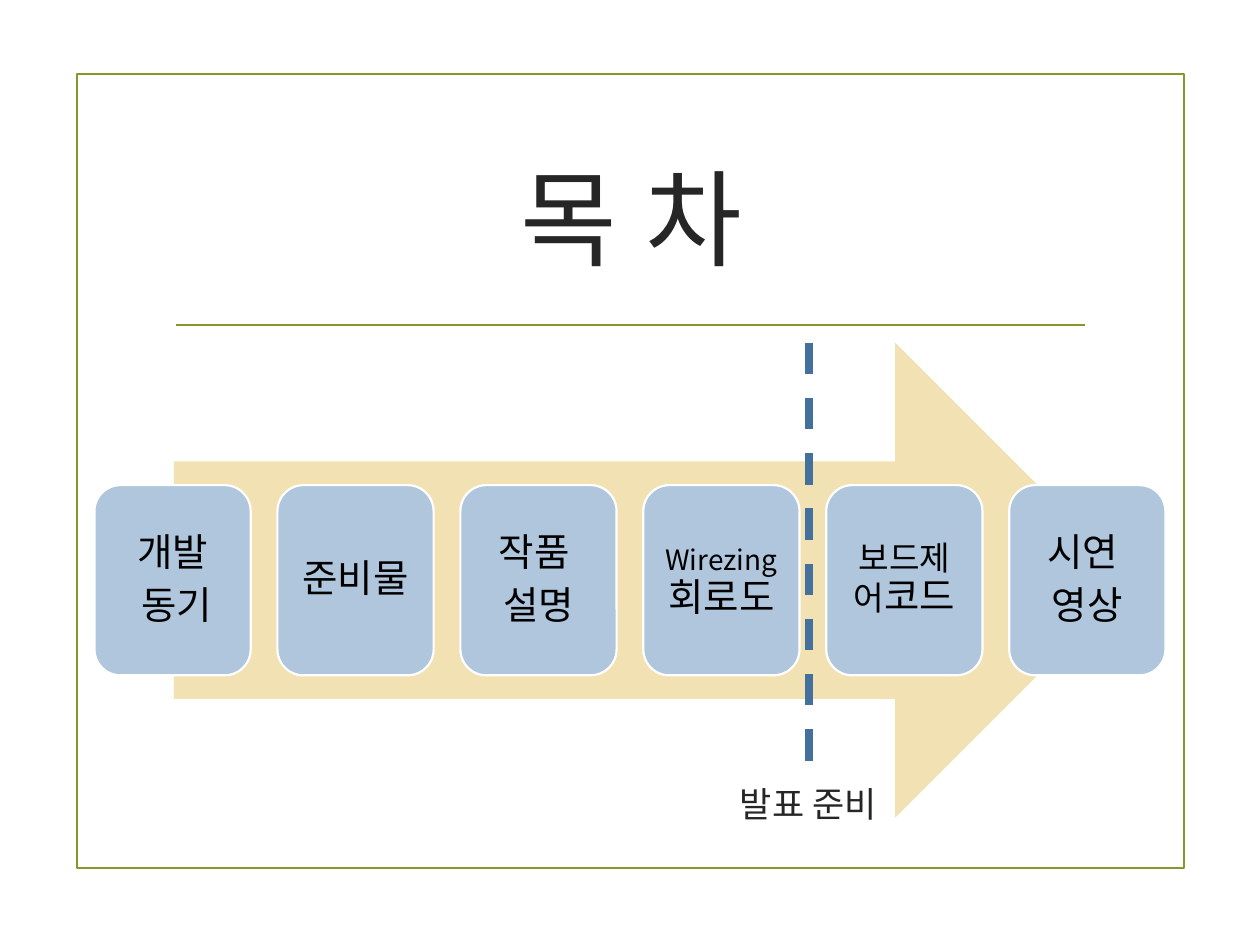
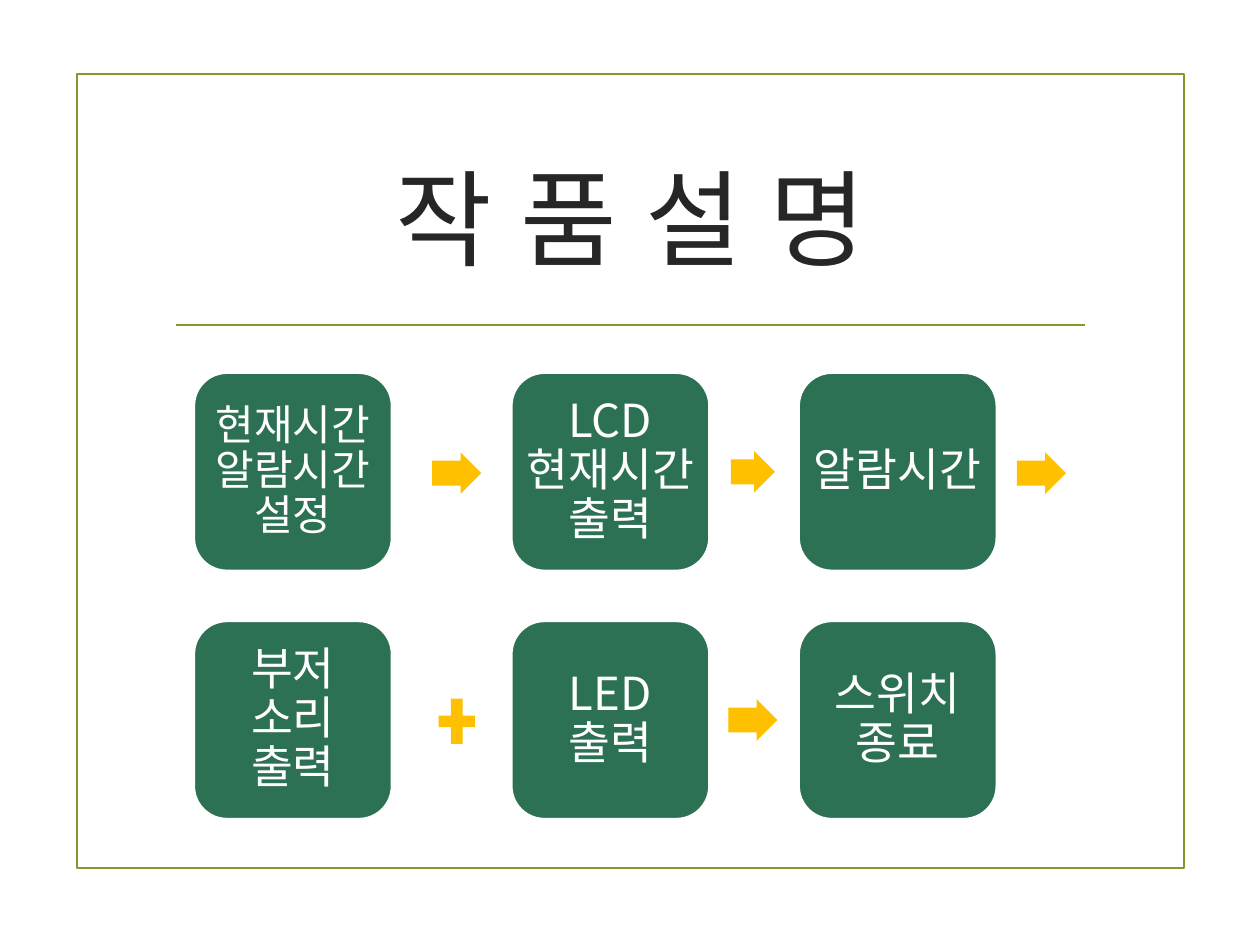
from lxml import etree
from pptx import Presentation
from pptx.dml.color import RGBColor
from pptx.enum.dml import MSO_LINE
from pptx.enum.shapes import MSO_CONNECTOR, MSO_SHAPE
from pptx.enum.text import MSO_ANCHOR, PP_ALIGN
from pptx.oxml.ns import qn
from pptx.util import Inches, Pt

RECTANGLE = MSO_SHAPE.RECTANGLE
ROUNDED = MSO_SHAPE.ROUNDED_RECTANGLE
ARROW = MSO_SHAPE.RIGHT_ARROW
PLUS = MSO_SHAPE.MATH_PLUS
STRAIGHT = MSO_CONNECTOR.STRAIGHT
DASH = MSO_LINE.DASH
MIDDLE, TOP = MSO_ANCHOR.MIDDLE, MSO_ANCHOR.TOP
CENTER = PP_ALIGN.CENTER

FONT = "Noto Sans CJK KR"
COLORS = {
    "olive": "83992A", "ink": "262626", "black": "000000", "white": "FFFFFF",
    "sand": "F2E1B3", "sky": "AFC6DD", "blue": "44709D",
    "green": "2D7154", "amber": "FFC000",
}


def draw(page, kind, place, fill=None, line=None):
    """Add a preset shape, or a connector from corner to corner."""
    lengths = [Inches(value) for value in place]
    if isinstance(kind, MSO_CONNECTOR):
        shape = page.shapes.add_connector(kind, *lengths)
        etree.SubElement(shape._element.spPr, qn("a:effectLst"))
    else:
        shape = page.shapes.add_shape(kind, *lengths)
        shape.shadow.inherit = False
        if fill:
            shape.fill.solid()
            shape.fill.fore_color.rgb = RGBColor.from_string(COLORS[fill])
        else:
            shape.fill.background()
    if line:
        shape.line.color.rgb = RGBColor.from_string(COLORS[line])
        shape.line.width = Pt(1.25)
    else:
        shape.line.fill.background()
    return shape


def write(box, paragraphs, color, anchor=MIDDLE, inset=None, spacing=1.0, after=0, tracking=0):
    """Fill a box with centred paragraphs, each a list of (text, size) runs."""
    frame = box.text_frame
    frame.word_wrap = True
    frame.vertical_anchor = anchor
    if inset is not None:
        frame.margin_left = frame.margin_right = Inches(inset)
        frame.margin_top = frame.margin_bottom = Inches(inset)
    for index, runs in enumerate(paragraphs):
        para = frame.add_paragraph() if index else frame.paragraphs[0]
        para.alignment = CENTER
        para.line_spacing = spacing
        para.space_after = Pt(after)
        for text, size in runs:
            if text == "\n":
                para.add_line_break()
                continue
            span = para.add_run()
            span.text = text
            span.font.size = Pt(size)
            span.font.color.rgb = RGBColor.from_string(COLORS[color])
            span.font.name = FONT
            etree.SubElement(span.font._element, qn("a:ea"), typeface=FONT)
            if tracking:
                span.font._element.set("spc", str(tracking))


deck = Presentation()
deck.slide_width, deck.slide_height = Inches(10), Inches(7.5)

# Shared frame, rule and title
pages = []
for title in ["목 차", "작 품 설 명"]:
    page = deck.slides.add_slide(deck.slide_layouts[6])
    draw(page, RECTANGLE, (0.61, 0.59, 8.79, 6.3), line="olive")
    draw(page, STRAIGHT, (1.4, 2.58, 8.61, 2.58), line="olive")
    box = page.shapes.add_textbox(Inches(1.29), Inches(1), Inches(7.44), Inches(1.43))
    write(box, [[(title, 60)]], "ink", tracking=135)
    pages.append(page)
contents, description = pages

# Contents: six steps on a wide arrow
draw(contents, ARROW, (1.38, 2.72, 7.61, 3.77), fill="sand")
steps = [
    [[("개발", 22)], [(" 동기", 22)]],
    [[("준비물", 22)]],
    [[("작품 ", 22)], [("설명", 22)]],
    [[("Wirezing", 16), (" ", 20), ("회로도", 22)]],
    [[("보드제어", 19), ("코드", 22)]],
    [[("시연 ", 22)], [("영상", 22)]],
]
for index, step in enumerate(steps):
    place = (0.75 + 1.452 * index, 3.85, 1.24, 1.51)
    box = draw(contents, ROUNDED, place, fill="sky", line="white")
    write(box, step, "black", inset=0.08, spacing=0.9, after=6.5)

# Contents: divider and its caption
divider = draw(contents, STRAIGHT, (6.42, 2.72, 6.42, 6.19), line="blue")
divider.line.width = Pt(4.5)
divider.line.dash_style = DASH
caption = contents.shapes.add_textbox(Inches(5.19), Inches(6.16), Inches(2.45), Inches(0.63))
write(caption, [[("발표 준비", 20)]], "ink", anchor=TOP)

# Description: two rows of three blocks
columns, rows = [1.54, 4.06, 6.34], [2.96, 4.93]
blocks = [
    [[("현재시간알람시간 설정", 24)],
     [("LCD", 26), ("\n", 26), ("현재시간 출력", 26)],
     [("알람시간", 26)]],
    [[("부저 소리 출력", 26)],
     [("LED 출력", 26)],
     [("스위치", 26), ("\n", 26), ("종료", 26)]],
]
for top, row in zip(rows, blocks):
    for left, runs in zip(columns, row):
        box = draw(description, ROUNDED, (left, top, 1.57, 1.57), fill="green", line="white")
        write(box, [runs], "white", inset=0.03, spacing=0.9)

# Description: signs between the blocks
for left, top, width in [(3.43, 3.59, 0.39), (5.8, 3.58, 0.35),
                         (8.07, 3.59, 0.39), (5.78, 5.55, 0.39)]:
    arrow = draw(description, ARROW, (left, top, width, 0.33), fill="amber")
    arrow.adjustments[0] = 0.6
    arrow.adjustments[1] = 0.5
draw(description, PLUS, (3.43, 5.48, 0.39, 0.49), fill="amber")

deck.save("out.pptx")
